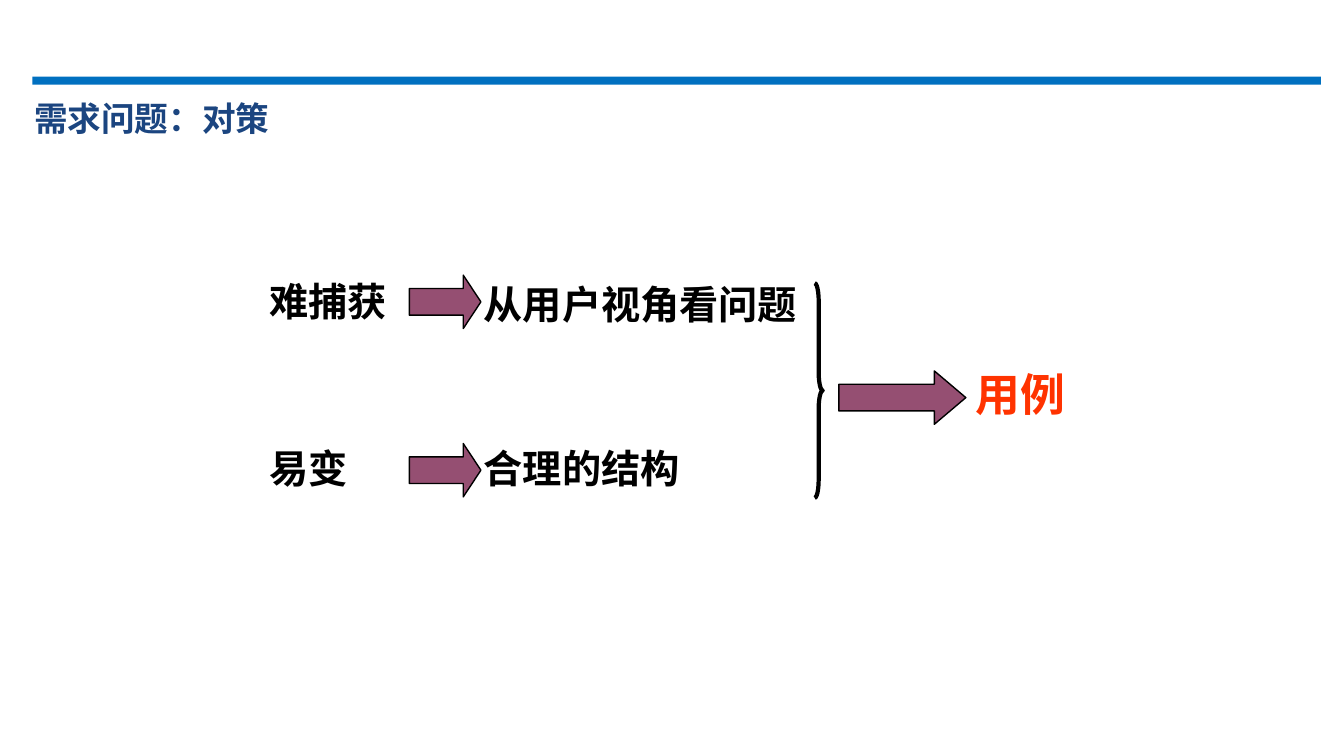
"""Build the slide that maps requirement problems to their countermeasures."""
from lxml.etree import SubElement
from pptx import Presentation
from pptx.dml.color import RGBColor
from pptx.enum.shapes import MSO_SHAPE as Preset
from pptx.enum.text import MSO_ANCHOR as Anchor
from pptx.oxml.ns import qn
from pptx.util import Inches, Pt

FONT = "Noto Sans CJK SC"
COLORS = {
    "rule": "0070C0",
    "title": "1B4580",
    "ink": "000000",
    "answer": "FF3300",
    "arrow": "954F72",
}


def color(key):
    """Return the palette colour for a key."""
    return RGBColor.from_string(COLORS[key])


def add_label(slide, text, left, top, width, height, size=28, ink="ink", wrap=True):
    """Add one bold line of text, centred vertically in its box."""
    label = slide.shapes.add_textbox(
        Inches(left), Inches(top), Inches(width), Inches(height))
    frame = label.text_frame
    frame.word_wrap = wrap
    frame.vertical_anchor = Anchor.MIDDLE
    run = frame.paragraphs[0].add_run()
    run.text = text
    run.font.size = Pt(size)
    run.font.bold = True
    run.font.color.rgb = color(ink)
    run.font.name = FONT
    SubElement(run.font._element, qn("a:ea"), typeface=FONT)


def add_figure(slide, preset, left, top, width, height,
               fill=None, line=None, adjustments=()):
    """Add a preset shape with optional fill, black outline width and adjustments."""
    figure = slide.shapes.add_shape(
        preset, Inches(left), Inches(top), Inches(width), Inches(height))
    figure.shadow.inherit = False
    for index, value in enumerate(adjustments):
        figure.adjustments[index] = value
    if fill:
        figure.fill.solid()
        figure.fill.fore_color.rgb = color(fill)
    else:
        figure.fill.background()
    if line:
        figure.line.color.rgb = color("ink")
        figure.line.width = Pt(line)
    else:
        figure.line.fill.background()


def add_arrow(slide, left, top, width, head):
    """Add a right arrow with the given head length ratio."""
    add_figure(slide, Preset.RIGHT_ARROW, left, top, width, 0.53,
               fill="arrow", line=1, adjustments=(0.5, head))


def add_countermeasure(slide, problem, remedy, problem_top, remedy_top, arrow_top):
    """Add a row leading from a problem to its remedy."""
    add_label(slide, problem, 2.57, problem_top, 1.5, 0.57)
    add_label(slide, remedy, 4.7, remedy_top, 3.5, 0.57)
    add_arrow(slide, 4.06, arrow_top, 0.71, 0.33)


def main():
    """Build and save the slide."""
    deck = Presentation()
    deck.slide_width, deck.slide_height = Inches(13.33), Inches(7.5)
    slide = deck.slides.add_slide(deck.slide_layouts[6])

    add_figure(slide, Preset.RECTANGLE, 0.32, 0.76, 12.78, 0.08, fill="rule")
    add_label(slide, "需求问题：对策", 0.24, 0.92, 2.56, 0.5,
              size=24, ink="title", wrap=False)

    add_countermeasure(slide, "难捕获", "从用户视角看问题", 2.7, 2.73, 2.73)
    add_countermeasure(slide, "易变", "合理的结构", 4.36, 4.36, 4.4)

    add_figure(slide, Preset.RIGHT_BRACE, 8.08, 2.81, 0.08, 2.13,
               line=3, adjustments=(2.22, 0.5))
    add_arrow(slide, 8.32, 3.68, 1.26, 0.59)
    add_label(slide, "用例", 9.58, 3.59, 1.26, 0.63, size=32, ink="answer")

    deck.save("out.pptx")


if __name__ == "__main__":
    main()
